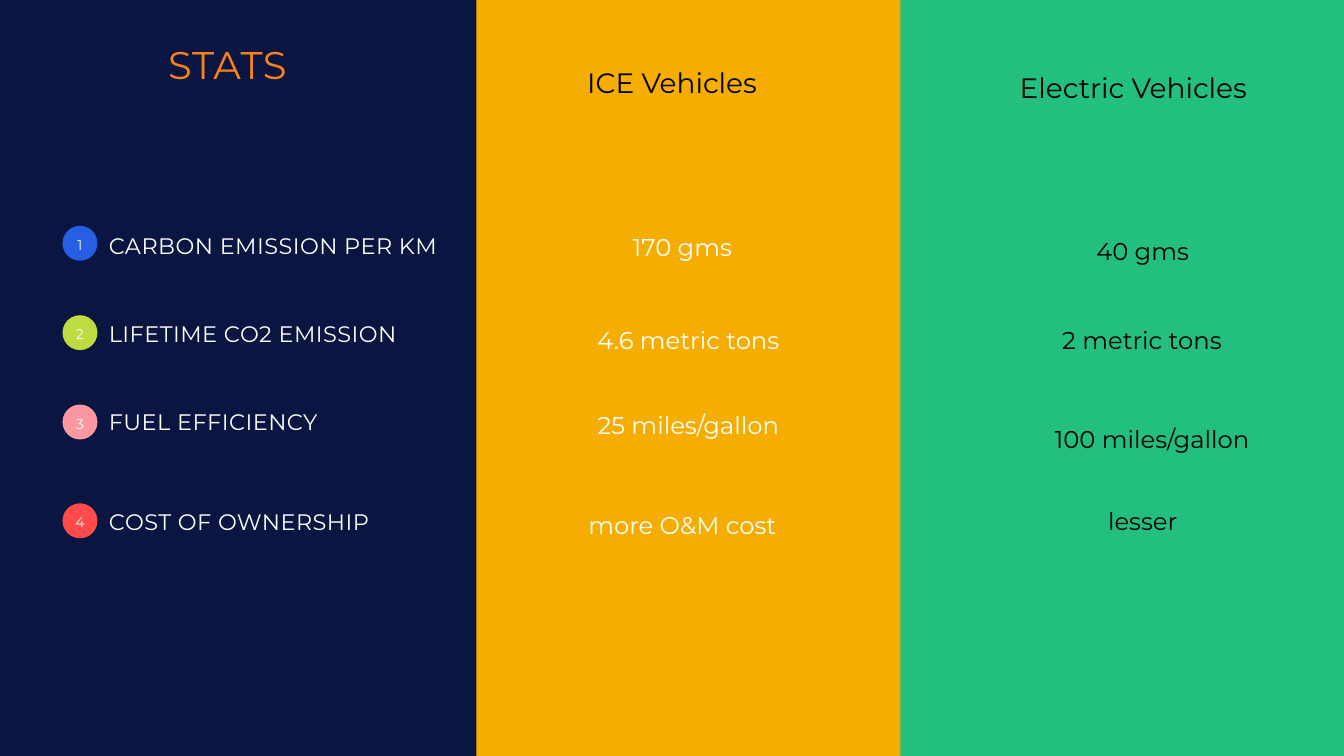
"""Build a slide comparing combustion and electric vehicles on four stats."""
from dataclasses import dataclass

from pptx import Presentation
from pptx.dml.color import RGBColor
from pptx.enum.shapes import MSO_SHAPE
from pptx.enum.text import MSO_ANCHOR, MSO_AUTO_SIZE, PP_ALIGN
from pptx.shapes.autoshape import Shape
from pptx.slide import Slide
from pptx.text.text import TextFrame
from pptx.util import Inches, Pt

RECTANGLE, OVAL = MSO_SHAPE.RECTANGLE, MSO_SHAPE.OVAL
LEFT, CENTER = PP_ALIGN.LEFT, PP_ALIGN.CENTER
TOP, MIDDLE = MSO_ANCHOR.TOP, MSO_ANCHOR.MIDDLE
FIT_SHAPE = MSO_AUTO_SIZE.SHAPE_TO_FIT_TEXT

WIDTH, HEIGHT = Inches(20), Inches(11.25)
COLUMN, ROW = WIDTH / 20, HEIGHT / 11.25
FONT = "Montserrat"
COLORS = {
    "amber": "F4AD00", "navy": "0B1541", "green": "22BF7E", "orange": "F88219",
    "blue": "265EE4", "lime": "BDDC40", "pink": "FA98A2", "red": "FF4B4B",
    "white": "FFFFFF", "black": "000000",
}


@dataclass(frozen=True)
class Area:
    """A place on the grid, in columns and rows."""
    column: float
    row: float
    columns: float
    rows: float

    def emu(self) -> tuple[int, int, int, int]:
        """Return left, top, width and height in EMU."""
        return (round(self.column * COLUMN), round(self.row * ROW),
                round(self.columns * COLUMN), round(self.rows * ROW))


@dataclass(frozen=True)
class Style:
    """The look of one line of text, in points."""
    size: float
    leading: float
    color: str
    align: PP_ALIGN = CENTER
    tracking: float = 0


@dataclass(frozen=True)
class Value:
    """A figure and the corner where its box starts."""
    text: str
    column: float
    row: float


@dataclass(frozen=True)
class Stat:
    """One compared stat: its numbered badge, label and two values."""
    label: str
    badge_color: str
    badge_row: float
    label_row: float
    label_columns: float
    ice: Value
    electric: Value


TITLE = Style(41.3, 41.3, "orange", LEFT, 0.8)
HEADING = Style(30, 51, "black")
LABEL = Style(24, 26.4, "white", LEFT, 0.5)
ICE_VALUE = Style(26, 44.2, "white")
ELECTRIC_VALUE = Style(26, 44.2, "black")
BADGE = Style(15, 21, "white")

PANELS = [("navy", Area(-0.54, -0.6, 7.63, 12.27)), ("green", Area(13.4, 0, 6.92, 11.5))]
HEADINGS = [
    ("STATS", Area(2.5, 0.72, 5.41, 0.6), TITLE),
    ("ICE Vehicles", Area(8.66, 0.76, 2.68, 0.64), HEADING),
    ("Electric Vehicles", Area(15.06, 0.84, 3.61, 0.64), HEADING),
]
STATS = [
    Stat("CARBON EMISSION PER KM", "blue", 3.36, 3.49, 6.8,
         Value("170 gms", 8.59, 3.28), Value("40 gms", 15.44, 3.33)),
    Stat("LIFETIME CO2 EMISSION", "lime", 4.69, 4.79, 5.13,
         Value("4.6 metric tons", 8.68, 4.66), Value("2 metric tons", 15.43, 4.66)),
    Stat("FUEL EFFICIENCY", "pink", 6.02, 6.1, 3.93,
         Value("25 miles/gallon", 8.68, 5.93), Value("100 miles/gallon", 15.58, 6.13)),
    Stat("COST OF OWNERSHIP", "red", 7.49, 7.59, 5.96,
         Value("more O&M cost", 8.59, 7.41), Value("lesser", 15.44, 7.36)),
]


def rgb(name: str) -> RGBColor:
    """Look up a named colour."""
    return RGBColor.from_string(COLORS[name])


def write(frame: TextFrame, text: str, style: Style, anchor: MSO_ANCHOR) -> None:
    """Write one styled line into a frame without margins."""
    frame.word_wrap = True
    frame.vertical_anchor = anchor
    frame.margin_left = frame.margin_right = frame.margin_top = frame.margin_bottom = 0
    line = frame.paragraphs[0]
    line.text = text
    line.alignment = style.align
    line.line_spacing = Pt(style.leading)
    line.font.name = FONT
    line.font.size = Pt(style.size)
    line.font.color.rgb = rgb(style.color)
    if style.tracking:
        line.runs[0]._r.get_or_add_rPr().set("spc", str(round(style.tracking * 100)))


def draw_shape(slide: Slide, preset: MSO_SHAPE, area: Area, color: str) -> Shape:
    """Draw a flat filled shape."""
    shape = slide.shapes.add_shape(preset, *area.emu())
    shape.shadow.inherit = False
    shape.fill.solid()
    shape.fill.fore_color.rgb = rgb(color)
    shape.line.fill.background()
    return shape


def draw_text(slide: Slide, text: str, area: Area, style: Style) -> None:
    """Draw a text box that grows with its text."""
    frame = slide.shapes.add_textbox(*area.emu()).text_frame
    write(frame, text, style, TOP)
    frame.auto_size = FIT_SHAPE


def draw_stat(slide: Slide, number: int, stat: Stat) -> None:
    """Draw the badge, label and values of one stat."""
    badge = draw_shape(slide, OVAL, Area(0.93, stat.badge_row, 0.52, 0.52), stat.badge_color)
    write(badge.text_frame, str(number), BADGE, MIDDLE)
    draw_text(slide, stat.label, Area(1.62, stat.label_row, stat.label_columns, 0.37), LABEL)
    for value, style in ((stat.ice, ICE_VALUE), (stat.electric, ELECTRIC_VALUE)):
        draw_text(slide, value.text, Area(value.column, value.row, 3.13, 0.56), style)


def main() -> None:
    """Assemble and save the slide."""
    deck = Presentation()
    deck.slide_width, deck.slide_height = WIDTH, HEIGHT
    slide = deck.slides.add_slide(deck.slide_layouts[6])
    slide.background.fill.solid()
    slide.background.fill.fore_color.rgb = rgb("amber")
    for color, area in PANELS:
        draw_shape(slide, RECTANGLE, area, color)
    for text, area, style in HEADINGS:
        draw_text(slide, text, area, style)
    for number, stat in enumerate(STATS, start=1):
        draw_stat(slide, number, stat)
    deck.save("out.pptx")


if __name__ == "__main__":
    main()
